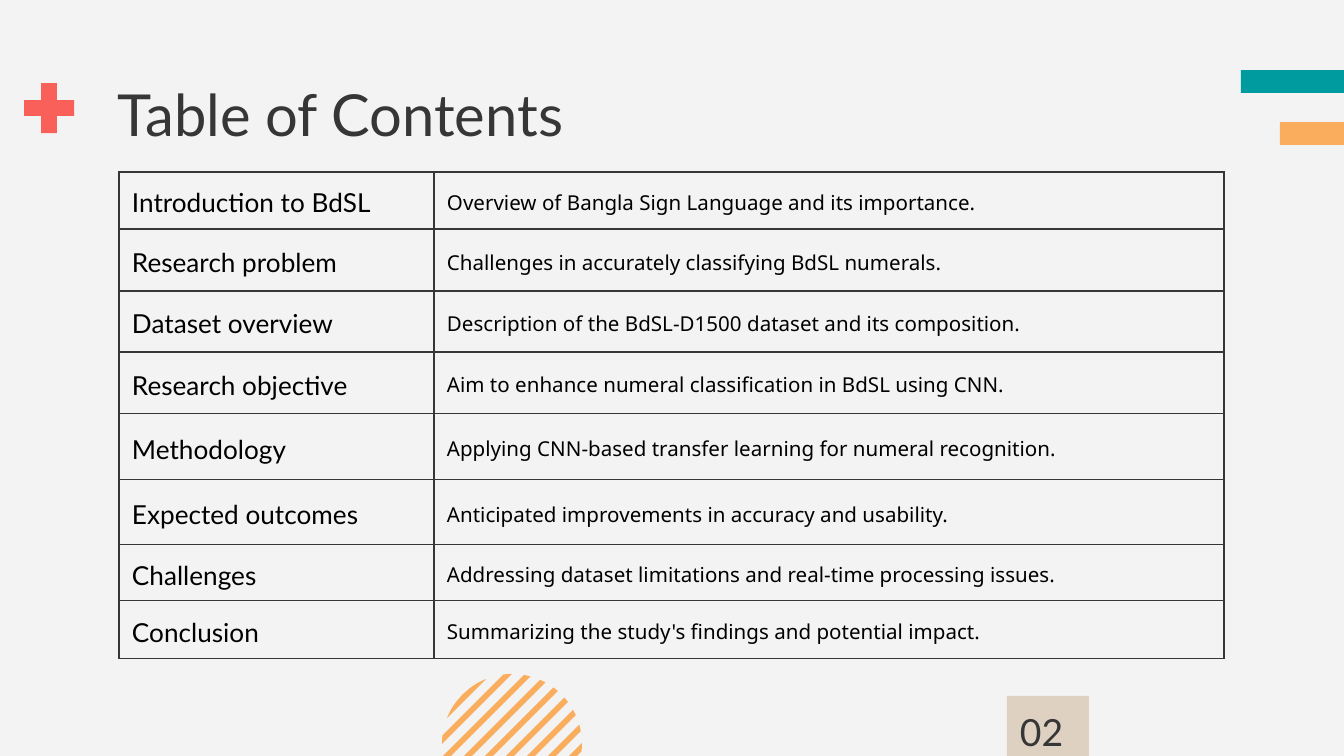
import math

from lxml import etree
from pptx import Presentation
from pptx.dml.color import RGBColor
from pptx.enum.shapes import MSO_SHAPE
from pptx.enum.text import MSO_ANCHOR, MSO_AUTO_SIZE, PP_ALIGN
from pptx.oxml.ns import qn
from pptx.util import Pt

RECTANGLE, CROSS = MSO_SHAPE.RECTANGLE, MSO_SHAPE.CROSS
TOP, MIDDLE = MSO_ANCHOR.TOP, MSO_ANCHOR.MIDDLE
LEFT = PP_ALIGN.LEFT
NO_AUTOFIT = MSO_AUTO_SIZE.NONE

PX = 914400 / 134.4
COLORS = {
    "background": "F3F3F3",
    "teal": "009B9F",
    "orange": "FAAE5D",
    "coral": "FA605A",
    "sand": "DFD1C2",
    "dark": "363636",
    "black": "000000",
}


def paint(shape, color):
    shape.fill.solid()
    shape.fill.fore_color.rgb = RGBColor.from_string(COLORS[color])
    shape.line.fill.background()
    shape.shadow.inherit = False


def write(frame, text, size, font, color, spacing=1.0):
    frame.text = text
    paragraph = frame.paragraphs[0]
    paragraph.alignment = LEFT
    paragraph.line_spacing = spacing
    style = paragraph.runs[0].font
    for name, value in {"size": Pt(size), "name": font, "bold": False}.items():
        setattr(style, name, value)
    style.color.rgb = RGBColor.from_string(COLORS[color])


prs = Presentation()
prs.slide_width, prs.slide_height = round(1344 * PX), round(756 * PX)
slide = prs.slides.add_slide(prs.slide_layouts[5])
slide.background.fill.solid()
slide.background.fill.fore_color.rgb = RGBColor.from_string(COLORS["background"])
shapes = slide.shapes

# Title
title = shapes.title
title_format = {"left": 105, "top": 66, "width": 1134, "height": 85}
for name, value in title_format.items():
    setattr(title, name, round(value * PX))
write(title.text_frame, "Table of Contents", 31, "Lato", "dark")

# Corner bars, plus sign and page number
decorations = [
    (RECTANGLE, 1241, 70, 106, 23, "teal"),
    (RECTANGLE, 1280, 122, 67, 23, "orange"),
    (CROSS, 24, 83, 50, 50, "coral"),
    (RECTANGLE, 1007, 696, 82, 61, "sand"),
]
for kind, *box, color in decorations:
    decoration = shapes.add_shape(kind, *(round(value * PX) for value in box))
    paint(decoration, color)
    if kind == CROSS:
        decoration.adjustments[0] = 0.34
page_number = decoration
write(page_number.text_frame, "02", 20, "Lato", "dark")

for frame, bottom in ((title.text_frame, 13), (page_number.text_frame, 27)):
    frame_format = {
        "auto_size": NO_AUTOFIT,
        "word_wrap": True,
        "vertical_anchor": TOP,
        "margin_left": round(13 * PX),
        "margin_right": round(13 * PX),
        "margin_top": round(13 * PX),
        "margin_bottom": round(bottom * PX),
    }
    for name, value in frame_format.items():
        setattr(frame, name, value)

# Circle of diagonal stripes: each lies between two parallel chords
CENTER_X, CENTER_Y, RADIUS = 512, 744, 70
STRIPES, FIRST_OFFSET, PITCH, STRIPE_WIDTH = 9, 69, 21, 8
ARC_STEPS = 8
for stripe in range(STRIPES):
    inner = FIRST_OFFSET - stripe * PITCH
    offsets = [inner + STRIPE_WIDTH * step / ARC_STEPS for step in range(ARC_STEPS + 1)]
    half_angles = [math.acos(max(-1, offset / (RADIUS * math.sqrt(2)))) for offset in offsets]
    angles = [math.pi / 4 + half for half in half_angles]
    angles += [math.pi / 4 - half for half in reversed(half_angles)]
    outline = [
        ((CENTER_X + RADIUS * math.cos(angle)) * PX, (CENTER_Y + RADIUS * math.sin(angle)) * PX)
        for angle in angles
    ]
    builder = shapes.build_freeform(*outline[0])
    builder.add_line_segments(outline[1:], close=True)
    paint(builder.convert_to_shape(), "orange")

# Contents table
contents = [
    (57, "Introduction to BdSL", "Overview of Bangla Sign Language and its importance."),
    (62, "Research problem", "Challenges in accurately classifying BdSL numerals."),
    (61, "Dataset overview", "Description of the BdSL-D1500 dataset and its composition."),
    (62, "Research objective", "Aim to enhance numeral classification in BdSL using CNN."),
    (66, "Methodology", "Applying CNN-based transfer learning for numeral recognition."),
    (65, "Expected outcomes", "Anticipated improvements in accuracy and usability."),
    (56, "Challenges", "Addressing dataset limitations and real-time processing issues."),
    (58, "Conclusion", "Summarizing the study's findings and potential impact."),
]
columns = [(315, 14, "Lato"), (790, 11, "Noto Sans")]
table_box = (119, 172, sum(column[0] for column in columns), sum(row[0] for row in contents))
table = shapes.add_table(
    len(contents), len(columns), *(round(value * PX) for value in table_box)
).table
table.first_row = table.horz_banding = False
for column, (width, _, _) in zip(table.columns, columns):
    column.width = round(width * PX)

cell_format = {
    "margin_left": round(13 * PX),
    "margin_right": round(13 * PX),
    "margin_top": 0,
    "margin_bottom": 0,
    "vertical_anchor": MIDDLE,
}
for row_index, (height, *texts) in enumerate(contents):
    table.rows[row_index].height = round(height * PX)
    for column_index, (text, (_, size, font)) in enumerate(zip(texts, columns)):
        cell = table.cell(row_index, column_index)
        write(cell.text_frame, text, size, font, "black", 1.15)
        for name, value in cell_format.items():
            setattr(cell, name, value)
        properties = cell._tc.get_or_add_tcPr()
        for side in ("a:lnL", "a:lnR", "a:lnT", "a:lnB"):
            border = etree.SubElement(properties, qn(side), w=str(Pt(0.75)))
            border_fill = etree.SubElement(border, qn("a:solidFill"))
            etree.SubElement(border_fill, qn("a:srgbClr"), val=COLORS["dark"])
        cell.fill.background()

prs.save("out.pptx")
